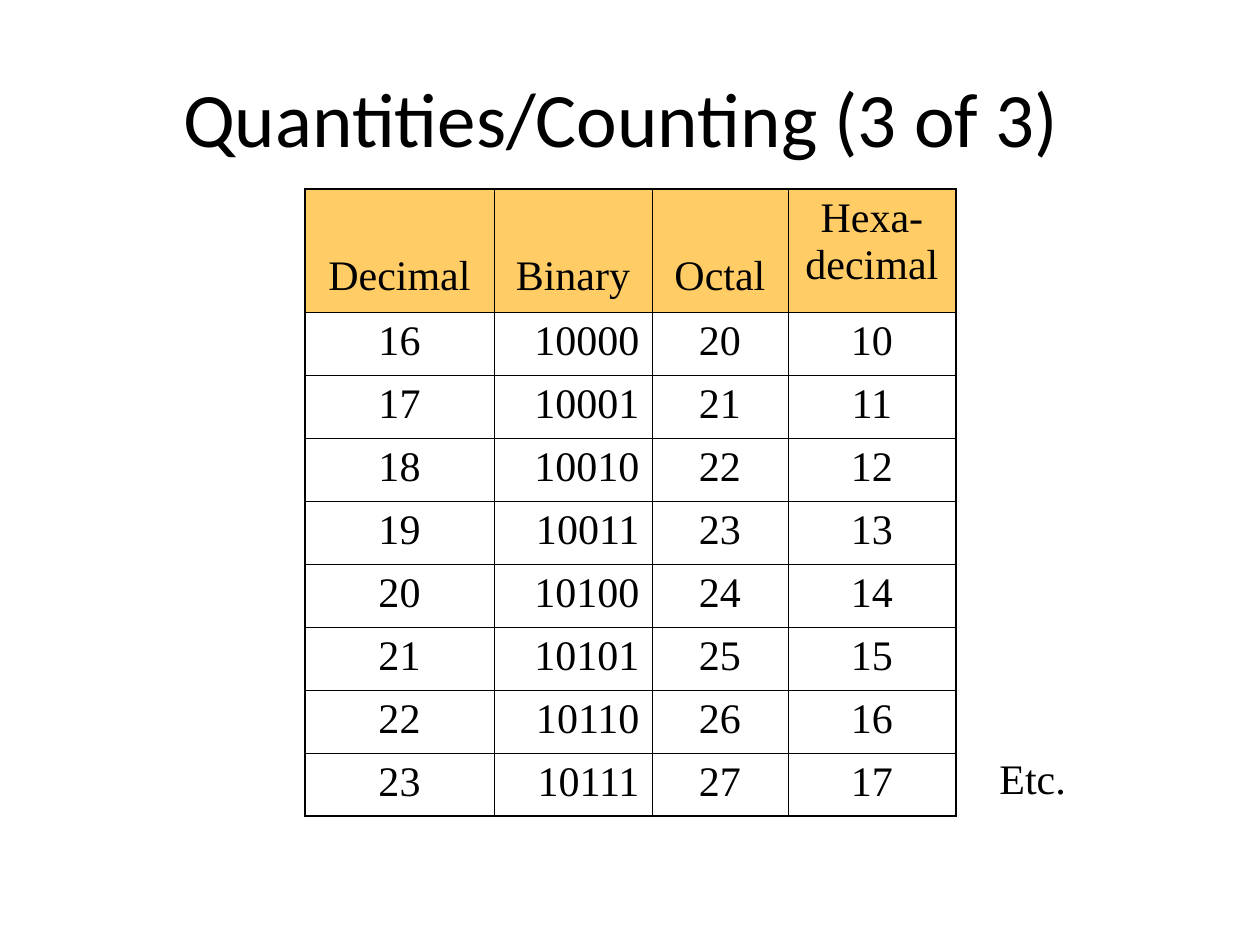
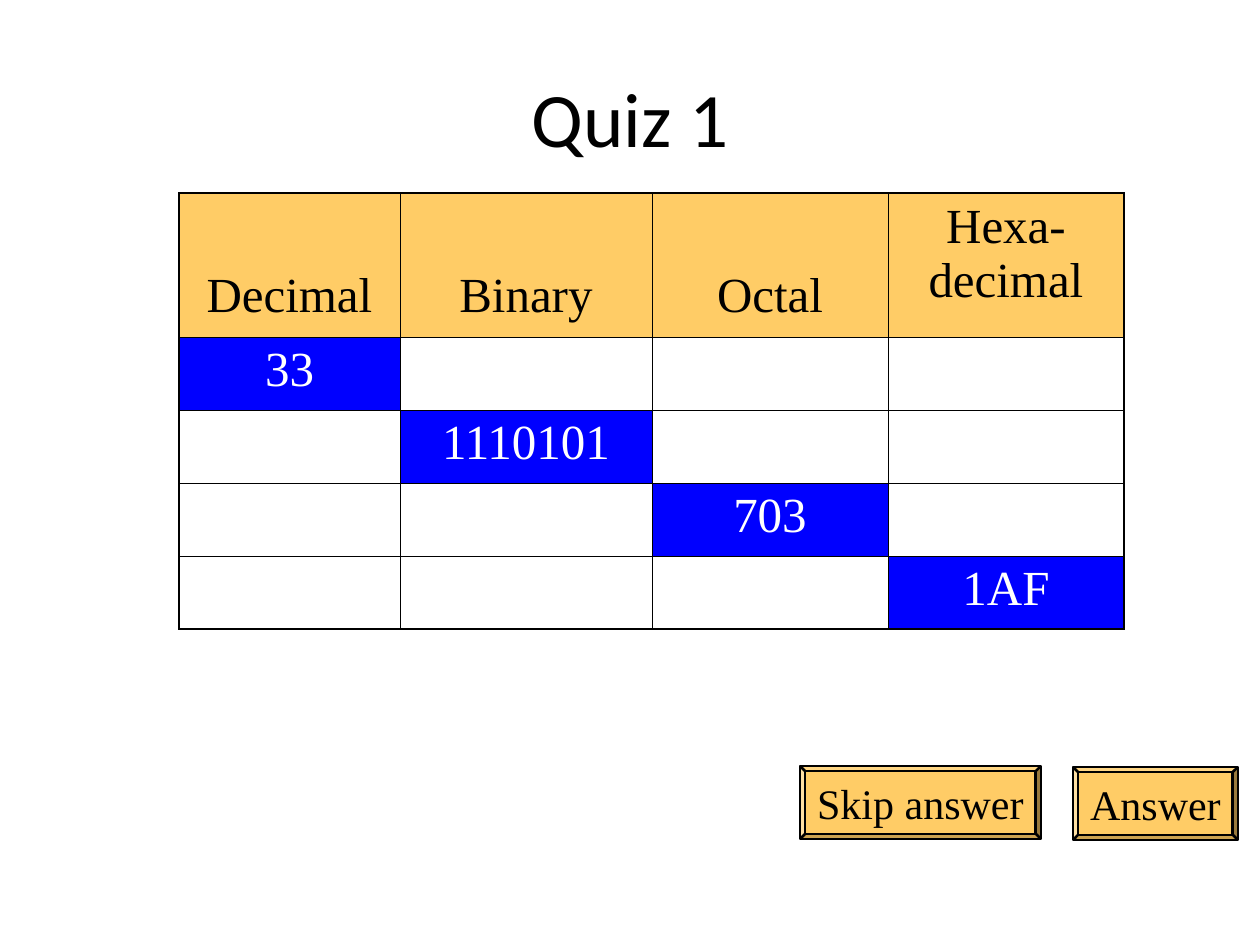
from lxml import etree
from pptx import Presentation
from pptx.dml.color import RGBColor
from pptx.enum.shapes import MSO_SHAPE
from pptx.enum.text import MSO_ANCHOR, PP_ALIGN
from pptx.oxml.ns import qn
from pptx.util import Emu, Pt

PX = 914400 / 126
CENTER, LEFT, RIGHT = PP_ALIGN.CENTER, PP_ALIGN.LEFT, PP_ALIGN.RIGHT
TOP, MIDDLE, BOTTOM = MSO_ANCHOR.TOP, MSO_ANCHOR.MIDDLE, MSO_ANCHOR.BOTTOM
BEVEL = MSO_SHAPE.BEVEL
TITLE_ONLY = 5

COLORS = {"ink": "000000", "paper": "FFFFFF", "gold": "FFCC66", "given": "0000FF"}
TITLE_FONT, BODY_FONT = "Calibri", "Times New Roman"
OUTER_LINE, INNER_LINE = 1.08, 0.45
HEADERS = ["Decimal", "Binary", "Octal", "Hexa-\vdecimal"]


def px(n):
    return Emu(round(n * PX))


def color(name):
    return RGBColor.from_string(COLORS[name])


def write(tf, text, size=24, font=BODY_FONT, ink="ink", align=CENTER,
          anchor=TOP, wrap=True):
    tf.word_wrap = wrap
    tf.vertical_anchor = anchor
    p = tf.paragraphs[0]
    p.text = text
    p.alignment = align
    for r in p.runs:
        r.font.size = Pt(size)
        r.font.name = font
        r.font.color.rgb = color(ink)


def set_borders(cell, widths):
    """Draw the left, right, top and bottom edges, with widths in points."""
    tcPr = cell._tc.get_or_add_tcPr()
    for i, (side, width) in enumerate(zip("LRTB", widths)):
        ln = etree.Element(qn(f"a:ln{side}"), w=str(Pt(width)))
        fill = etree.SubElement(ln, qn("a:solidFill"))
        etree.SubElement(fill, qn("a:srgbClr"), val=COLORS["ink"])
        tcPr.insert(i, ln)


class Deck:
    def __init__(self):
        self.prs = Presentation()
        self.prs.slide_width, self.prs.slide_height = px(1260), px(945)
        self.slide = None

    def add_slide(self, title):
        self.slide = self.prs.slides.add_slide(self.prs.slide_layouts[TITLE_ONLY])
        sp = self.slide.shapes.title
        sp.left, sp.top, sp.width, sp.height = map(px, (63, 38, 1134, 158))
        write(sp.text_frame, title, size=44, font=TITLE_FONT, anchor=MIDDLE)

    def table(self, x, y, rows, col_widths, header_height, row_height, size,
              aligns=(CENTER,) * 4, highlight=False):
        """Add a number table; highlight paints the filled body cells."""
        heights = [header_height] + [row_height] * len(rows)
        grid = [HEADERS] + rows
        table = self.slide.shapes.add_table(
            len(grid), len(col_widths), px(x), px(y),
            px(sum(col_widths)), px(sum(heights))).table
        table.first_row = table.horz_banding = False
        for col, width in zip(table.columns, col_widths):
            col.width = px(width)
        for row, height in zip(table.rows, heights):
            row.height = px(height)
        last_row, last_col = len(grid) - 1, len(col_widths) - 1
        for i, values in enumerate(grid):
            for j, value in enumerate(values):
                cell = table.cell(i, j)
                given = highlight and i > 0 and value
                fill = "gold" if i == 0 else "given" if given else None
                if fill:
                    cell.fill.solid()
                    cell.fill.fore_color.rgb = color(fill)
                else:
                    cell.fill.background()
                on_edge = (j == 0, j == last_col, i == 0, i == last_row)
                set_borders(cell, [OUTER_LINE if e else INNER_LINE for e in on_edge])
                write(cell.text_frame, value, size=size,
                      ink="paper" if given else "ink",
                      align=aligns[j] if i else CENTER)
                if i == 0 and j < last_col:
                    cell.vertical_anchor = BOTTOM
                    cell.margin_bottom = px(size // 2)

    def label(self, x, y, w, h, text):
        sp = self.slide.shapes.add_textbox(px(x), px(y), px(w), px(h))
        write(sp.text_frame, text, align=LEFT, wrap=False)

    def button(self, x, y, w, h, text):
        sp = self.slide.shapes.add_shape(BEVEL, px(x), px(y), px(w), px(h))
        sp.adjustments[0] = 0.07
        sp.shadow.inherit = False
        sp.fill.solid()
        sp.fill.fore_color.rgb = color("gold")
        sp.line.color.rgb = color("ink")
        sp.line.width = Pt(1.5)
        write(sp.text_frame, text, anchor=MIDDLE, wrap=False)


def main():
    deck = Deck()

    deck.add_slide("Quantities/Counting (3 of 3) ")
    counting = [[f"{n:{base}}" for base in "dboX"] for n in range(16, 24)]
    deck.table(305, 189, counting, (189, 158, 136, 168), 123, 63, size=24,
               aligns=(CENTER, RIGHT, CENTER, CENTER))
    deck.label(987, 746, 92, 63, "Etc.")

    deck.add_slide("Quiz 1")
    givens = ["33", "1110101", "703", "1AF"]
    quiz = [[given if i == j else "" for j in range(len(givens))]
            for i, given in enumerate(givens)]
    deck.table(179, 193, quiz, (221, 252, 236, 236), 144, 73, size=28,
               highlight=True)
    deck.button(800, 766, 241, 73, "Skip answer")
    deck.button(1073, 767, 165, 73, "Answer")

    deck.prs.save("out.pptx")


if __name__ == "__main__":
    main()
